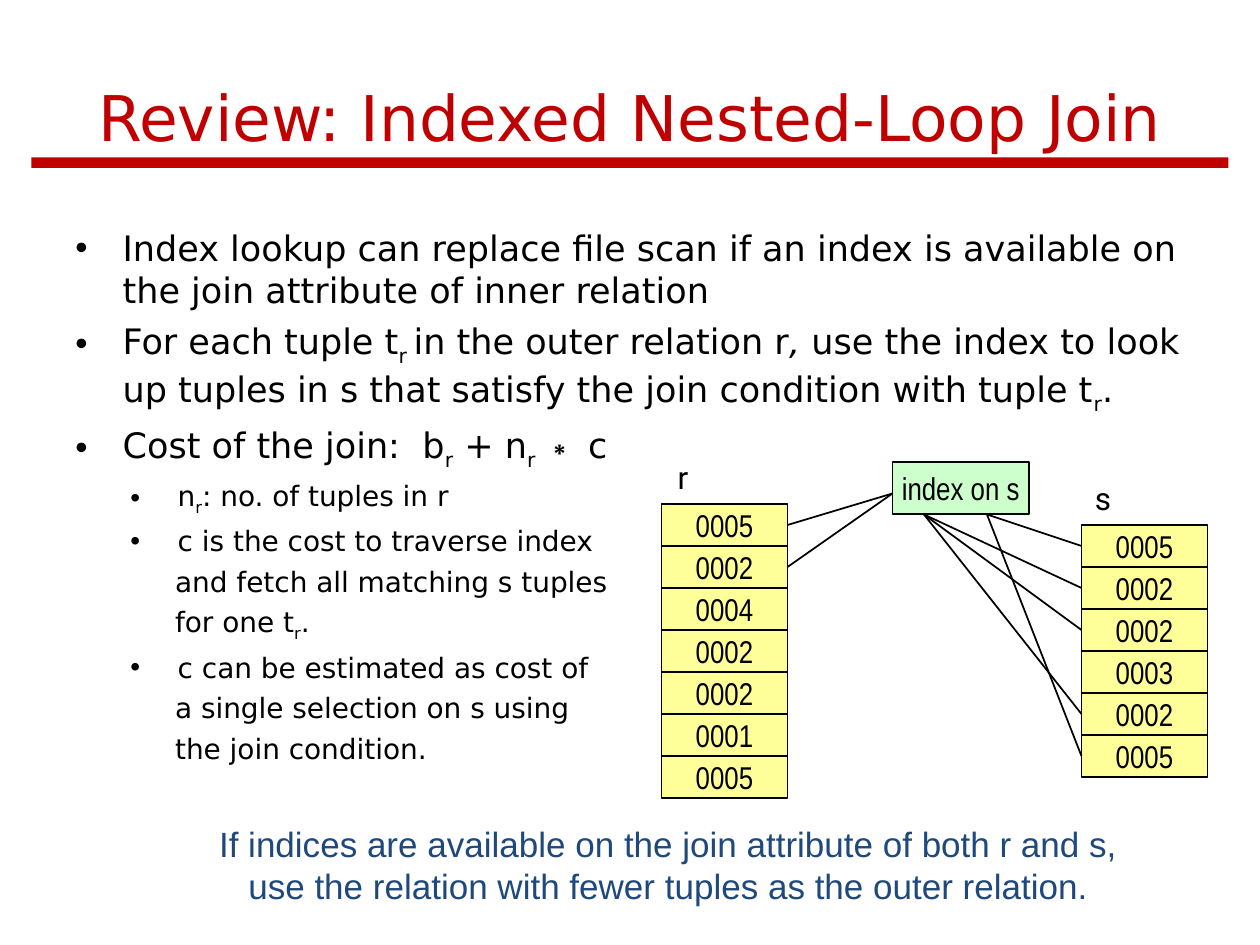
from dataclasses import dataclass

from lxml.etree import SubElement
from pptx import Presentation
from pptx.dml.color import RGBColor
from pptx.enum.shapes import MSO_CONNECTOR, MSO_SHAPE
from pptx.enum.text import MSO_ANCHOR, PP_ALIGN
from pptx.oxml.ns import qn
from pptx.util import Pt


@dataclass(frozen=True)
class Theme:
    red: RGBColor = RGBColor(0xC0, 0x00, 0x00)
    black: RGBColor = RGBColor(0x00, 0x00, 0x00)
    blue: RGBColor = RGBColor(0x1F, 0x49, 0x7D)
    yellow: RGBColor = RGBColor(0xFF, 0xFF, 0x99)
    green: RGBColor = RGBColor(0xCC, 0xFF, 0xCC)
    text_font: str = "DejaVu Sans"
    cell_font: str = "Arial Narrow"
    label_font: str = "Roboto"
    note_font: str = "Arial"
    title_size: int = 36
    body_size: int = 20
    detail_size: int = 16
    cell_size: int = 18


theme = Theme()
deck = Presentation()
deck.slide_width, deck.slide_height = Pt(720), Pt(540)
page = deck.slides.add_slide(deck.slide_layouts[6])
shapes = page.shapes


def style(para, font_name, size, color, align=PP_ALIGN.CENTER):
    para.alignment = align
    para.font.name = font_name
    para.font.size = Pt(size)
    para.font.color.rgb = color


def add_block(left, top, width, height, fill, text=""):
    """Add a rectangle; one with text also gets a black outline."""
    block = shapes.add_shape(MSO_SHAPE.RECTANGLE, Pt(left), Pt(top), Pt(width), Pt(height))
    block.shadow.inherit = False
    block.fill.solid()
    block.fill.fore_color.rgb = fill
    if not text:
        block.line.fill.background()
        return block
    block.line.color.rgb = theme.black
    block.line.width = Pt(1)
    frame = block.text_frame
    frame.word_wrap = False
    frame.vertical_anchor = MSO_ANCHOR.MIDDLE
    frame.text = text
    style(frame.paragraphs[0], theme.cell_font, theme.cell_size, theme.black)
    return block


# Title, rule, relation labels and closing note
texts = [
    ("Review: Indexed Nested-Loop Join", (36, 21.6, 648, 90), True, MSO_ANCHOR.MIDDLE,
     theme.text_font, theme.title_size, theme.red),
    ("r", (379.5, 258, 21.6, 28.8), False, MSO_ANCHOR.TOP,
     theme.label_font, theme.cell_size, theme.black),
    ("s", (618.5, 270, 23, 28.8), False, MSO_ANCHOR.TOP,
     theme.label_font, theme.cell_size, theme.black),
    ("If indices are available on the join attribute of both r and s,\v"
     "use the relation with fewer tuples as the outer relation.",
     (90, 466.5, 584, 55.5), True, MSO_ANCHOR.TOP,
     theme.note_font, theme.body_size, theme.blue),
]
for text, place, wrap, anchor, font_name, size, color in texts:
    box = shapes.add_textbox(*map(Pt, place))
    box.text_frame.word_wrap = wrap
    box.text_frame.vertical_anchor = anchor
    para = box.text_frame.paragraphs[0]
    para.text = text
    style(para, font_name, size, color)
add_block(18, 90, 684, 6, theme.red)

# Body: each paragraph is a kind and its spans; a span is text or (text, effect)
sub_r = ("r", "subscript")
body = [
    ("point", ["Index lookup can replace file scan if an index is available on "
               "the join attribute of inner relation"]),
    ("point", ["For each tuple t", ("r ", "subscript"), "in the outer relation r", (",", "italic"),
               " use the index to look up tuples in s that satisfy the join condition with tuple t",
               sub_r, "."]),
    ("point", ["Cost of the join:  b", sub_r, " + n", ("r ", "subscript"), ("∗", "symbol"), " c"]),
    ("detail", ["n", sub_r, ": no. of tuples in r"]),
    ("detail", ["c is the cost to traverse index"]),
    ("continued", ["and fetch all matching s tuples"]),
    ("continued", ["for one t", sub_r, "."]),
    ("detail", ["c can be estimated as cost of"]),
    ("continued", ["a single selection on s using"]),
    ("continued", ["the join condition."]),
]
# kind: level, left margin, first-line indent, space before, size
kinds = {
    "point": (0, 27, -27, 5, theme.body_size),
    "detail": (1, 58.5, -27, 4, theme.detail_size),
    "continued": (1, 57, 0, 4, theme.detail_size),
}
box = shapes.add_textbox(Pt(36), Pt(126), Pt(648), Pt(356.5))
frame = box.text_frame
frame.word_wrap = True
for number, (kind, spans) in enumerate(body):
    level, margin, indent, space, size = kinds[kind]
    para = frame.add_paragraph() if number else frame.paragraphs[0]
    para.level = level
    properties = para._p.get_or_add_pPr()
    properties.set("marL", str(Pt(margin)))
    properties.set("indent", str(Pt(indent)))
    if kind != "continued":
        bullet_color = SubElement(properties, qn("a:buClr"))
        SubElement(bullet_color, qn("a:srgbClr"), val=str(theme.black))
        SubElement(properties, qn("a:buFont"), typeface=theme.note_font)
        SubElement(properties, qn("a:buChar"), char="•")
    if number:
        para.space_before = Pt(space)
    style(para, theme.text_font, size, theme.black, PP_ALIGN.LEFT)
    for part in spans:
        text, effect = (part, None) if isinstance(part, str) else part
        span = para.add_run()
        span.text = text
        if effect == "subscript":
            span._r.get_or_add_rPr().set("baseline", "-25000")
        elif effect == "italic":
            span.font.italic = True
        elif effect == "symbol":
            span.font.name = theme.note_font

# Relations r and s, and the index between them
row_height, row_width = 24, 72
relations = {
    "r": (378, 288, ["0005", "0002", "0004", "0002", "0002", "0001", "0005"]),
    "s": (618, 300, ["0005", "0002", "0002", "0003", "0002", "0005"]),
}
rows = {
    name: [add_block(left, top + index * row_height, row_width, row_height, theme.yellow, value)
           for index, value in enumerate(values)]
    for name, (left, top, values) in relations.items()
}
add_block(510, 264, 78, 30, theme.green, "index on s")

# Lookups: relation, row, side of the row, point on the index box
links = [("r", row, 3, (510, 282)) for row in (0, 1)]
links += [("s", row, 1, (564, 294)) for row in (0, 5)]
links += [("s", row, 1, (528, 294)) for row in (1, 2, 4)]
for name, row, side, (x, y) in links:
    link = shapes.add_connector(MSO_CONNECTOR.STRAIGHT, Pt(x), Pt(y), Pt(x), Pt(y))
    link.end_connect(rows[name][row], side)
    link.line.color.rgb = theme.black
    link.line.width = Pt(1)
    SubElement(link._element.spPr, qn("a:effectLst"))

deck.save("out.pptx")
